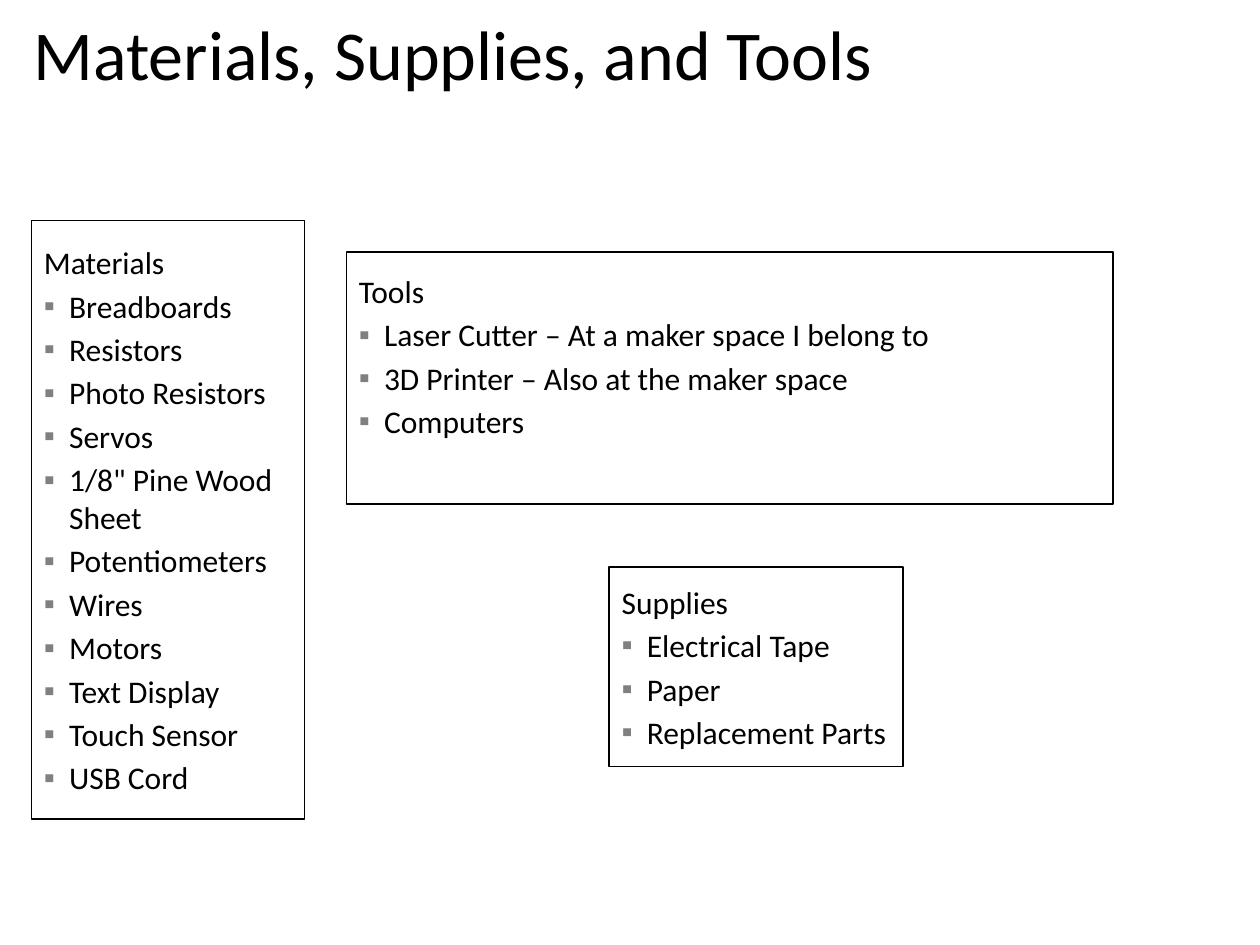
"""Build a slide listing the materials, supplies and tools of a project."""
from lxml.etree import SubElement
from pptx import Presentation
from pptx.dml.color import RGBColor
from pptx.enum.shapes import MSO_SHAPE
from pptx.enum.text import MSO_ANCHOR, MSO_AUTO_SIZE, PP_ALIGN
from pptx.oxml.ns import qn
from pptx.util import Pt

TITLE = "Materials, Supplies, and Tools"
SUPPLIES = ["Supplies", "Electrical Tape", "Paper", "Replacement Parts"]
MATERIALS = [
    "Materials", "Breadboards", "Resistors", "Photo Resistors", "Servos",
    '1/8" Pine Wood Sheet', "Potentiometers", "Wires", "Motors",
    "Text Display", "Touch Sensor", "USB Cord",
]
TOOLS = [
    "Tools", "Laser Cutter – At a maker space I belong to",
    "3D Printer – Also at the maker space", "Computers",
]
TITLE_AREA = (12, 6, 624, 48)
SUPPLIES_AREA = (348, 324, 168, 114)
MATERIALS_AREA = (18, 126, 156, 342)
TOOLS_AREA = (198, 144, 438, 144)
INDENT, BULLET, BLACK, GRAY = 14.4, "▪", "000000", "808080"


def color(value):
    return RGBColor.from_string(value)


def place(box, area):
    box.left, box.top, box.width, box.height = map(Pt, area)


def format_frame(frame, size):
    frame.word_wrap = True
    frame.auto_size = MSO_AUTO_SIZE.NONE
    frame.vertical_anchor = MSO_ANCHOR.MIDDLE
    for para in frame.paragraphs:
        para.alignment = PP_ALIGN.LEFT
        for span in para.runs:
            span.font.name = "Calibri"
            span.font.size = Pt(size)
            span.font.color.rgb = color(BLACK)


def set_bullet(para, bulleted):
    properties = para._p.get_or_add_pPr()
    indent = Pt(INDENT) if bulleted else 0
    properties.set("marL", str(indent))
    properties.set("indent", str(-indent))
    if not bulleted:
        SubElement(properties, qn("a:buNone"))
        return
    tint = SubElement(properties, qn("a:buClr"))
    SubElement(tint, qn("a:srgbClr"), val=GRAY)
    SubElement(properties, qn("a:buFont"), typeface="Arial")
    SubElement(properties, qn("a:buChar"), char=BULLET)


def fill_list(box, lines, bottom_inset=3.6):
    box.line.color.rgb = color(BLACK)
    box.line.width = Pt(0.75)
    frame = box.text_frame
    frame.text = "\n".join(lines)
    frame.margin_bottom = Pt(bottom_inset)
    format_frame(frame, 18)
    for number, para in enumerate(frame.paragraphs):
        para.space_before = Pt(3.2)
        set_bullet(para, number > 0)


def add_list(page, area, lines, bottom_inset=3.6):
    box = page.shapes.add_shape(MSO_SHAPE.RECTANGLE, *map(Pt, area))
    box.shadow.inherit = False
    box.fill.background()
    fill_list(box, lines, bottom_inset)


def main():
    deck = Presentation()
    deck.slide_width, deck.slide_height = Pt(720), Pt(540)
    page = deck.slides.add_slide(deck.slide_layouts[1])

    title = page.shapes.title
    place(title, TITLE_AREA)
    title.text_frame.text = TITLE
    format_frame(title.text_frame, 40)

    supplies = page.placeholders[1]
    place(supplies, SUPPLIES_AREA)
    fill_list(supplies, SUPPLIES)

    add_list(page, MATERIALS_AREA, MATERIALS)
    add_list(page, TOOLS_AREA, TOOLS, bottom_inset=28.8)
    deck.save("out.pptx")


if __name__ == "__main__":
    main()
